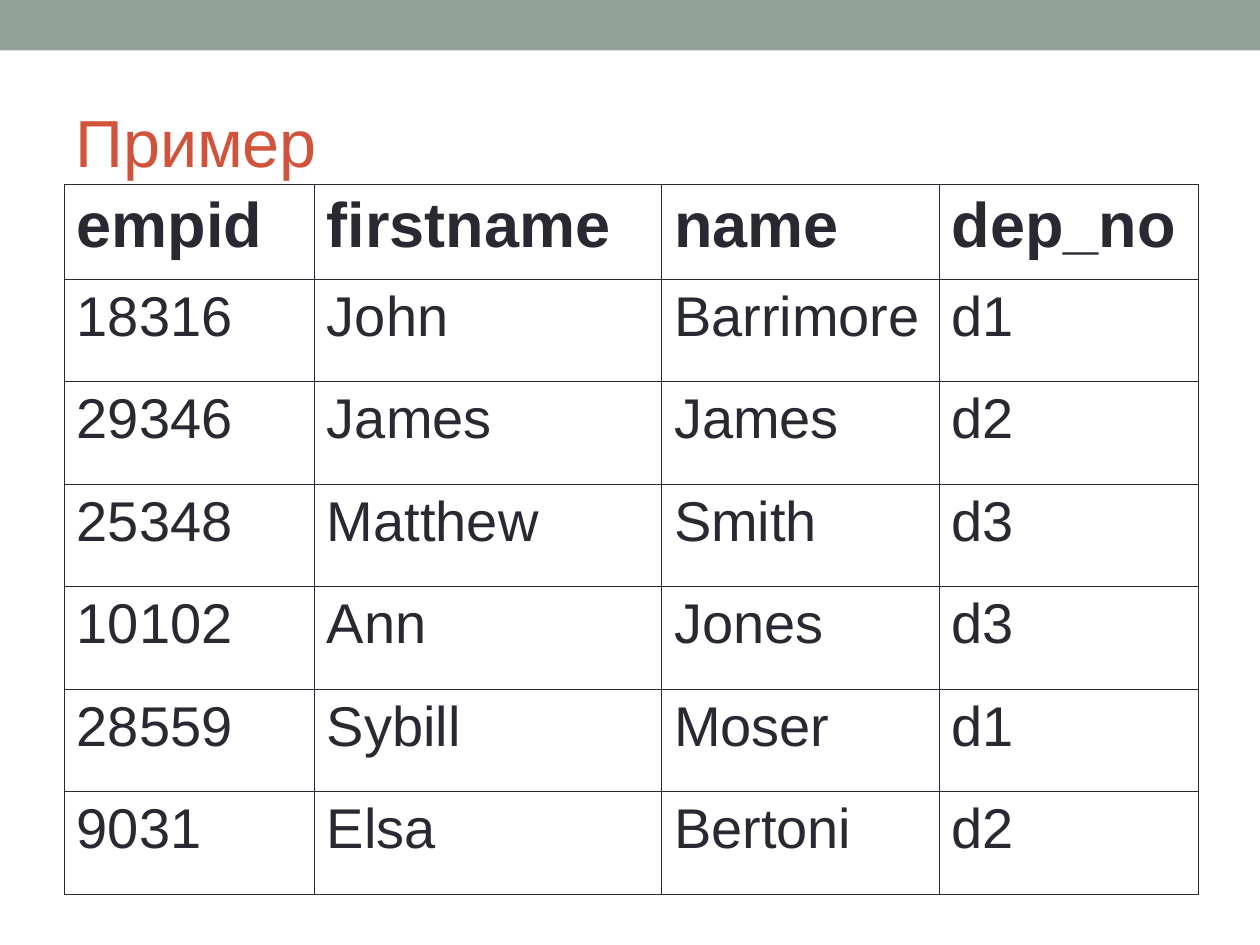
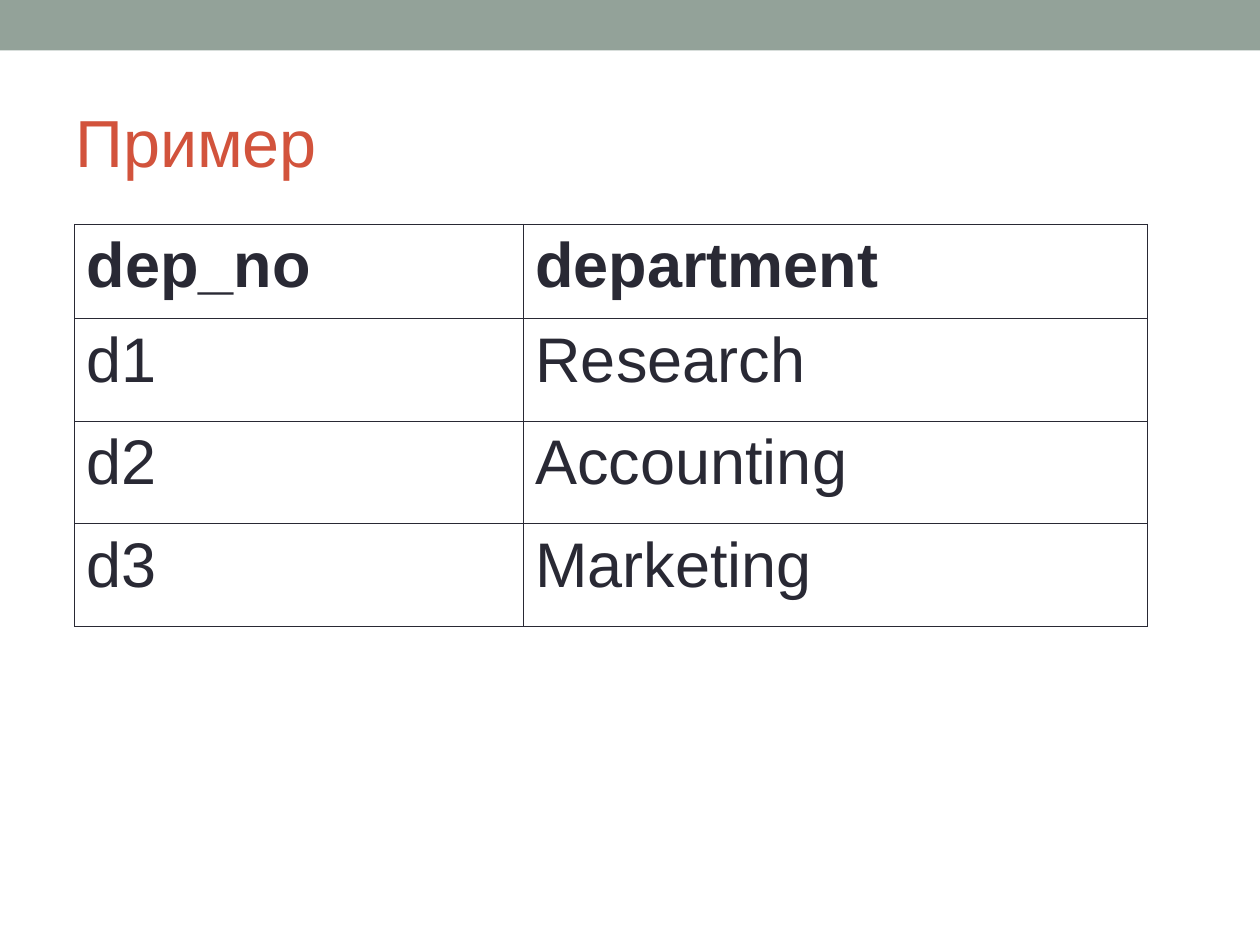
"""Build two slides that show example tables of employees and departments."""
import dataclasses

import lxml.etree
import pptx
import pptx.dml.color
import pptx.enum.shapes
import pptx.enum.text
import pptx.oxml.ns
import pptx.util


@dataclasses.dataclass(frozen=True)
class Theme:
    """Colours, type sizes and grid shared by all slides."""
    band: str = "93A299"
    accent: str = "D2533C"
    ink: str = "292934"
    font: str = "Arial"
    title_size: int = 38
    head_size: int = 36
    rule_width: float = 0.45
    space_share: float = 0.25
    grid_columns: int = 100
    grid_rows: int = 75
    head_rows: float = 7.5
    body_rows: float = 8.14


class Deck:
    """Hold the theme and the current slide, and draw each kind of element."""

    def __init__(self, theme):
        self.theme = theme
        self.presentation = pptx.Presentation()
        self.presentation.slide_width = pptx.util.Inches(10)
        self.presentation.slide_height = pptx.util.Inches(7.5)
        self.slide = None

    def across(self, columns):
        return round(self.presentation.slide_width * columns / self.theme.grid_columns)

    def down(self, rows):
        return round(self.presentation.slide_height * rows / self.theme.grid_rows)

    def box(self, left, top, width, height):
        return self.across(left), self.down(top), self.across(width), self.down(height)

    def start_slide(self, heading):
        self.slide = self.presentation.slides.add_slide(self.presentation.slide_layouts[6])
        self.band()
        self.title(heading)

    def band(self):
        band = self.slide.shapes.add_shape(
            pptx.enum.shapes.MSO_SHAPE.RECTANGLE, *self.box(0, 0, self.theme.grid_columns, 4))
        band.shadow.inherit = False
        band.fill.solid()
        band.fill.fore_color.rgb = pptx.dml.color.RGBColor.from_string(self.theme.band)
        band.line.fill.background()

    def title(self, heading):
        frame = self.slide.shapes.add_textbox(*self.box(5, 5.8, 90, 10.8)).text_frame
        frame.word_wrap = True
        frame.vertical_anchor = pptx.enum.text.MSO_ANCHOR.MIDDLE
        self.set_wording(frame, heading, self.theme.title_size, self.theme.accent)

    def set_wording(self, frame, wording, size, colour, bold=False):
        frame.text = wording
        font = frame.paragraphs[0].runs[0].font
        font.name = self.theme.font
        font.size = pptx.util.Pt(size)
        font.bold = bold
        font.color.rgb = pptx.dml.color.RGBColor.from_string(colour)

    def table(self, left, top, widths, records, body_size):
        heights = [self.theme.head_rows] + [self.theme.body_rows] * (len(records) - 1)
        table = self.slide.shapes.add_table(
            len(records), len(widths), *self.box(left, top, sum(widths), sum(heights))).table
        table.horz_banding = False
        for column, width in zip(table.columns, widths):
            column.width = self.across(width)
        for index, (row, height, record) in enumerate(zip(table.rows, heights, records)):
            row.height = self.down(height)
            is_head = index == 0
            size = self.theme.head_size if is_head else body_size
            for cell, wording in zip(row.cells, record):
                self.set_wording(cell.text_frame, wording, size, self.theme.ink, is_head)
                space = pptx.util.Pt(size * self.theme.space_share)
                cell.text_frame.paragraphs[0].space_before = space
                self.rule(cell)
                cell.fill.background()

    def rule(self, cell):
        qn = pptx.oxml.ns.qn
        properties = cell._tc.get_or_add_tcPr()
        width = str(pptx.util.Pt(self.theme.rule_width))
        for side in ("a:lnL", "a:lnR", "a:lnT", "a:lnB"):
            line = lxml.etree.SubElement(properties, qn(side), w=width)
            fill = lxml.etree.SubElement(line, qn("a:solidFill"))
            lxml.etree.SubElement(fill, qn("a:srgbClr"), val=self.theme.ink)


EMPLOYEES = [
    ("empid", "firstname", "name", "dep_no"),
    ("18316", "John", "Barrimore", "d1"),
    ("29346", "James", "James", "d2"),
    ("25348", "Matthew", "Smith", "d3"),
    ("10102", "Ann", "Jones", "d3"),
    ("28559", "Sybill", "Moser", "d1"),
    ("9031", "Elsa", "Bertoni", "d2"),
]
DEPARTMENTS = [
    ("dep_no", "department"),
    ("d1", "Research"),
    ("d2", "Accounting"),
    ("d3", "Marketing"),
]


def main():
    deck = Deck(Theme())
    deck.start_slide("Пример")
    deck.table(5.1, 14.65, (19.85, 27.55, 22.05, 20.55), EMPLOYEES, body_size=32)
    deck.start_slide("Пример")
    deck.table(5.9, 17.8, (35.6, 49.55), DEPARTMENTS, body_size=36)
    deck.presentation.save("out.pptx")


if __name__ == "__main__":
    main()
